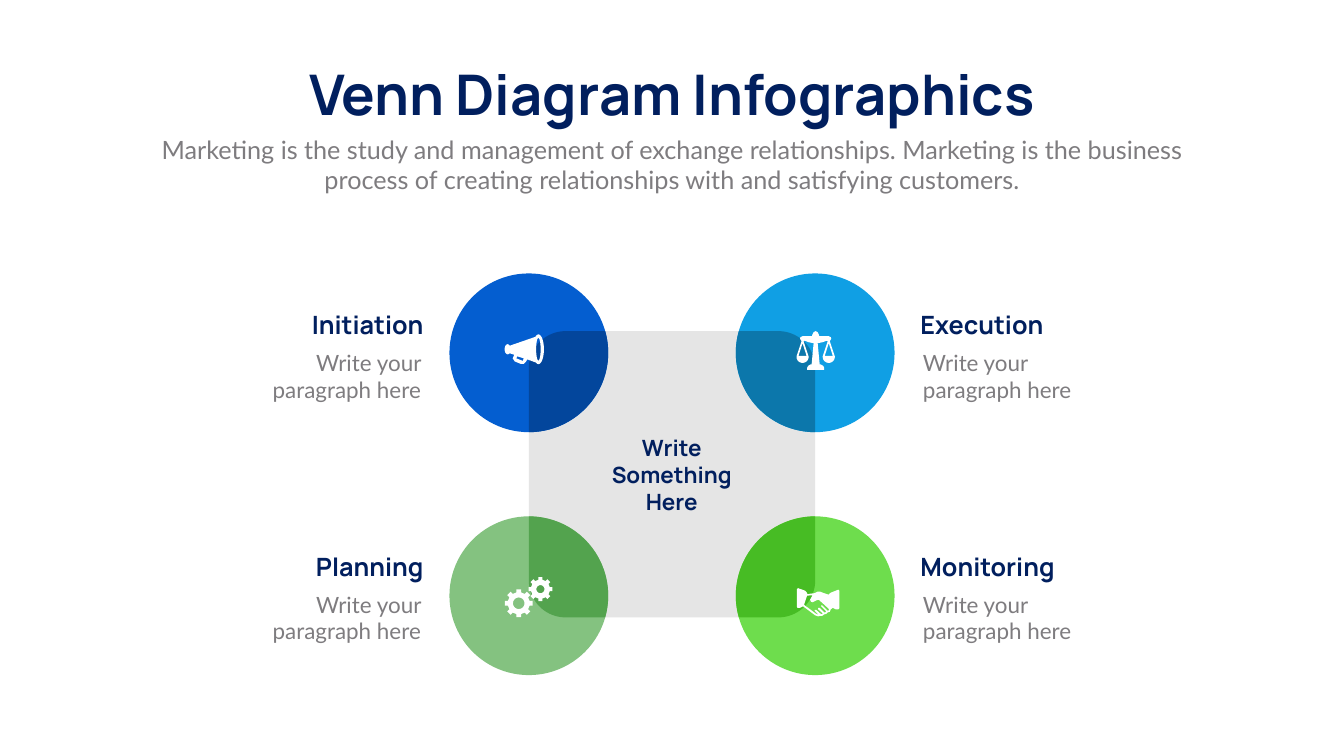
from math import asin, cos, pi, radians, sin, sqrt

from pptx import Presentation
from pptx.dml.color import RGBColor
from pptx.enum.shapes import MSO_SHAPE
from pptx.enum.text import MSO_ANCHOR, PP_ALIGN
from pptx.util import Inches, Pt

THEME = {
    "navy": "011F5E", "grey": "7E7C7F", "panel": "E5E5E5", "white": "FFFFFF",
    "title": {"size": Pt(80), "name": "Manrope", "bold": True},
    "subtitle": {"size": Pt(36), "name": "Lato", "bold": False},
    "heading": {"size": Pt(36), "name": "Manrope", "bold": True},
    "center": {"size": Pt(32), "name": "Manrope", "bold": True},
    "detail": {"size": Pt(32), "name": "Lato", "bold": False},
}

TITLE = "Venn Diagram Infographics"
SUBTITLE = ("Marketing is the study and management of exchange relationships. "
            "Marketing is the business process of creating relationships with "
            "and satisfying customers.")
CENTER = "Write Something Here"
DETAIL = "Write your paragraph here"
STAGES = [
    ("Initiation", -1, -1, "045ED0", "03469C"),
    ("Planning", -1, 1, "84C280", "53A34E"),
    ("Execution", 1, -1, "109FE4", "0C77AB"),
    ("Monitoring", 1, 1, "6EDD4D", "47BC24"),
]

WIDTH, HEIGHT = 26.66, 15
MID_X, MID_Y = WIDTH / 2, 9.41
SQUARE, CORNER = 5.68, 0.73
RADIUS, CIRCLE_DX, CIRCLE_DY = 1.575, SQUARE / 2, 2.41
OUTER_EDGE = 4.79
HEADING_TOP = {-1: 6.09, 1: 10.88}


def arc(cx, cy, rx, ry, start, end, steps=24):
    angles = [radians(start + (end - start) * i / steps) for i in range(steps + 1)]
    return [(cx + rx * cos(a), cy + ry * sin(a)) for a in angles]


def gear(cx, cy, outer, root, hole, teeth=8):
    step = 2 * pi / teeth
    profile = [(root, -0.27), (outer, -0.22), (outer, 0.22), (root, 0.27)]
    rim = [(cx + r * cos((i + turn) * step), cy + r * sin((i + turn) * step))
           for i in range(teeth) for r, turn in profile]
    return [rim, arc(cx, cy, hole, hole, 0, 360)]


def mirrored(points, axis):
    return [(2 * axis - x, y) for x, y in points]


MEGAPHONE = [
    [(0.62, 0.04), (0.1, 0.22)] + arc(0.06, 0.29, 0.06, 0.1, 310, 50)
    + [(0.1, 0.37), (0.19, 0.4), (0.16, 0.47), (0.2, 0.53), (0.32, 0.58),
       (0.38, 0.58), (0.42, 0.54), (0.45, 0.49), (0.61, 0.55)]
    + arc(0.67, 0.29, 0.11, 0.295, 120, -120),
    [(0.36, 0.52), (0.23, 0.47), (0.25, 0.43), (0.38, 0.47)],
    arc(0.67, 0.29, 0.045, 0.225, 0, 360),
]

SCALE_AXIS = 0.39
HALF_SCALE = (
    [(0.39, 0), (0.43, 0.02), (0.46, 0.08), (0.46, 0.1), (0.65, 0.1),
     (0.69, 0.12), (0.7, 0.15), (0.67, 0.2), (0.77, 0.5)]
    + arc(0.65, 0.51, 0.12, 0.12, 0, 180)
    + [(0.53, 0.5), (0.63, 0.2), (0.61, 0.19), (0.53, 0.22), (0.43, 0.24),
       (0.47, 0.66), (0.49, 0.66), (0.54, 0.69), (0.56, 0.73), (0.56, 0.77)]
)
SCALE_GAP = [(0.57, 0.49), (0.65, 0.24), (0.73, 0.49)]
SCALES = [HALF_SCALE + mirrored(HALF_SCALE, SCALE_AXIS)[::-1],
          SCALE_GAP, mirrored(SCALE_GAP, SCALE_AXIS)]

HANDSHAKE = [
    [(0.84, 0.04), (0.83, 0.03), (0.68, 0.09), (0.64, 0.12), (0.64, 0.13),
     (0.52, 0.09), (0.47, 0.07), (0.42, 0.07), (0.36, 0.1), (0.27, 0.11),
     (0.22, 0.12), (0.2, 0.08), (0.17, 0.05), (0.03, 0), (0.01, 0.02),
     (0.01, 0.37), (0.02, 0.39), (0.07, 0.39), (0.13, 0.36), (0.21, 0.42),
     (0.37, 0.54), (0.43, 0.56), (0.47, 0.55), (0.51, 0.55), (0.55, 0.52),
     (0.59, 0.51), (0.62, 0.48), (0.66, 0.47), (0.68, 0.42), (0.72, 0.39),
     (0.78, 0.42), (0.83, 0.42), (0.85, 0.4), (0.85, 0.05)],
    [(0.64, 0.44), (0.62, 0.45), (0.51, 0.34), (0.49, 0.34), (0.49, 0.36),
     (0.59, 0.46), (0.57, 0.48), (0.55, 0.48), (0.46, 0.39), (0.43, 0.39),
     (0.43, 0.42), (0.52, 0.5), (0.5, 0.52), (0.48, 0.51), (0.39, 0.43),
     (0.36, 0.43), (0.36, 0.45), (0.44, 0.53), (0.39, 0.51), (0.23, 0.39),
     (0.17, 0.35), (0.15, 0.33), (0.21, 0.15), (0.32, 0.14), (0.27, 0.23),
     (0.29, 0.27), (0.32, 0.28), (0.4, 0.24), (0.44, 0.23), (0.52, 0.3),
     (0.64, 0.41)],
]
GEARS = gear(0.28, 0.52, 0.28, 0.22, 0.115) + gear(0.71, 0.24, 0.24, 0.19, 0.08)
ICONS = [(10.01, 6.64, MEGAPHONE), (15.79, 6.57, SCALES),
         (15.8, 11.67, HANDSHAKE), (10.01, 11.45, GEARS)]


def paint(shape, color):
    shape.fill.solid()
    shape.fill.fore_color.rgb = RGBColor.from_string(color)
    shape.line.fill.background()
    shape.shadow.inherit = False


def add_preset(slide, kind, box, color):
    shape = slide.shapes.add_shape(kind, *map(Inches, box))
    paint(shape, color)
    return shape


def add_outline(slide, contours, left, top, color):
    loops = [[(Inches(left + x), Inches(top + y)) for x, y in loop]
             for loop in contours]
    builder = slide.shapes.build_freeform(*loops[0][0])
    for index, loop in enumerate(loops):
        if index:
            builder.move_to(*loop[0])
        builder.add_line_segments(loop[1:], close=True)
    paint(builder.convert_to_shape(), color)


def write(shape, box, text, style, color, align):
    for side, length in zip(("left", "top", "width", "height"), box):
        setattr(shape, side, Inches(length))
    frame = shape.text_frame
    frame.text = text
    frame.word_wrap = True
    frame.vertical_anchor = MSO_ANCHOR.TOP
    paragraph = frame.paragraphs[0]
    paragraph.alignment = align
    paragraph.space_before = Pt(0)
    font = paragraph.runs[0].font
    for key, value in THEME[style].items():
        setattr(font, key, value)
    font.color.rgb = RGBColor.from_string(THEME[color])


def add_text(slide, box, *content):
    write(slide.shapes.add_textbox(*map(Inches, box)), box, *content)


def overlap(side_x, side_y):
    offset = CIRCLE_DX - CIRCLE_DY
    start = -asin(offset / RADIUS)
    corner = arc(CORNER, CORNER, CORNER, CORNER, 180, 270)
    edge = arc(0, offset, RADIUS, RADIUS, start * 180 / pi, 90)
    reach = SQUARE / 2
    return [(side_x * (reach - x), side_y * (reach - y)) for x, y in corner + edge]


def main():
    deck = Presentation()
    deck.slide_width, deck.slide_height = Inches(WIDTH), Inches(HEIGHT)
    slide = deck.slides.add_slide(deck.slide_layouts[0])
    write(slide.shapes.title, (3.34, 1.14, 19.98, 1.45), TITLE,
          "title", "navy", PP_ALIGN.CENTER)
    write(slide.placeholders[1], (2.92, 2.61, 20.82, 1.31), SUBTITLE,
          "subtitle", "grey", PP_ALIGN.CENTER)

    panel = add_preset(slide, MSO_SHAPE.ROUNDED_RECTANGLE,
                       (MID_X - SQUARE / 2, MID_Y - SQUARE / 2, SQUARE, SQUARE),
                       THEME["panel"])
    panel.adjustments[0] = CORNER / SQUARE

    for heading, side_x, side_y, color, shade in STAGES:
        add_preset(slide, MSO_SHAPE.OVAL,
                   (MID_X + side_x * CIRCLE_DX - RADIUS,
                    MID_Y + side_y * CIRCLE_DY - RADIUS, 2 * RADIUS, 2 * RADIUS),
                   color)
        add_outline(slide, [overlap(side_x, side_y)], MID_X, MID_Y, shade)
        align = PP_ALIGN.RIGHT if side_x < 0 else PP_ALIGN.LEFT
        top = HEADING_TOP[side_y]
        for text, style, ink, drop, width, height in (
                (heading, "heading", "navy", 0, 3.71, 0.71),
                (DETAIL, "detail", "grey", 0.79, 3.66, 1.18)):
            left = OUTER_EDGE if side_x < 0 else WIDTH - OUTER_EDGE - width
            add_text(slide, (left, top + drop, width, height),
                     text, style, ink, align)

    add_text(slide, (11.85, 8.57, 2.95, 1.72), CENTER,
             "center", "navy", PP_ALIGN.CENTER)
    for left, top, contours in ICONS:
        add_outline(slide, contours, left, top, THEME["white"])
    deck.save("out.pptx")


if __name__ == "__main__":
    main()
